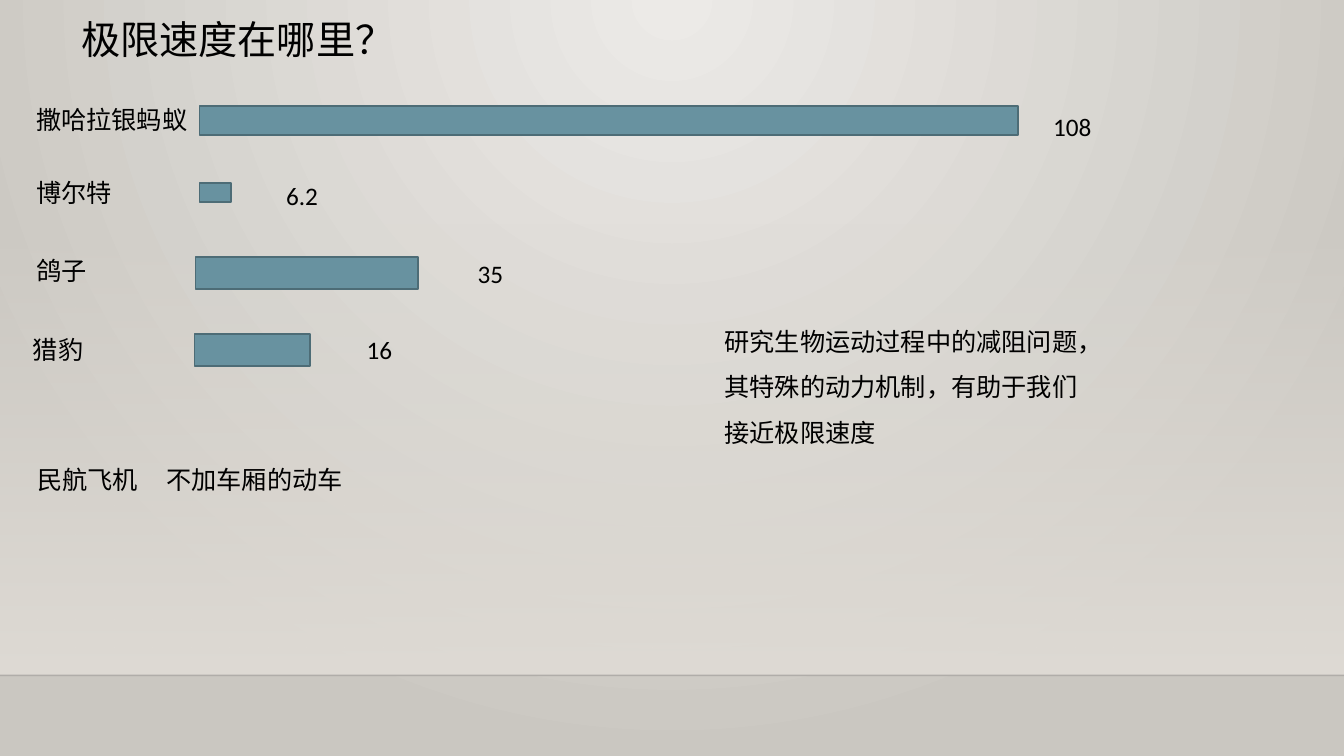
from dataclasses import dataclass

from pptx import Presentation
from pptx import oxml
from pptx import util as u
from pptx.dml.color import RGBColor
from pptx.enum import shapes, text
from pptx.oxml import ns

Cm = u.Cm


@dataclass(frozen=True)
class Theme:
    font: str = "Calibri"
    ink: str = "000000"
    bar: str = "6892A0"
    bar_edge: str = "4D6C76"
    wall: str = "DFDBD5"
    glow: str = "ECEAE7"
    shade: str = "CAC7C1"
    floor_line: str = "000001"
    title: int = 28
    body: int = 18


T = Theme()
WIDTH, HEIGHT = 33.87, 19.05
FLOOR = 17.02
WALL_TOP = 5.61
LINE_HEIGHT = 1.02

# name, label (left, top), bar (left, top, width, height), value, value (left, top)
SPEEDS = [
    ("撒哈拉银蚂蚁", (0.66, 2.51), (5.03, 2.67, 20.62, 0.74), "108", (26.29, 2.67)),
    ("博尔特", (0.66, 4.34), (5.03, 4.62, 0.79, 0.48), "6.2", (6.96, 4.42)),
    ("鸽子", (0.66, 6.32), (4.93, 6.48, 5.61, 0.81), "35", (11.79, 6.38)),
    ("猎豹", (0.58, 8.31), (4.9, 8.41, 2.92, 0.81), "16", (8.99, 8.31)),
]


def gradient(start, end, direction, start_alpha=100):
    return oxml.parse_xml(
        f'<a:gradFill {ns.nsdecls("a")} rotWithShape="1"><a:gsLst>'
        f'<a:gs pos="0"><a:srgbClr val="{start}"><a:alpha val="{start_alpha * 1000}"/></a:srgbClr></a:gs>'
        f'<a:gs pos="100000"><a:srgbClr val="{end}"/></a:gs>'
        f'</a:gsLst>{direction}</a:gradFill>')


def replace_fill(fill_parent, fill):
    """Swap the solid fill of an element for another fill."""
    fill_parent.replace(fill_parent.find(ns.qn("a:solidFill")), fill)


def add_background(s):
    fill = s.background.fill
    fill.solid()
    fill.fore_color.rgb = RGBColor.from_string(T.shade)
    circle = ('<a:path path="circle">'
              '<a:fillToRect l="43000" t="0" r="43000" b="100000"/></a:path>')
    replace_fill(s.background._cSld.bg.bgPr, gradient(T.glow, T.shade, circle))


def add_rect(s, left, top, width, height, fill, edge=None):
    sp = s.shapes.add_shape(shapes.MSO_SHAPE.RECTANGLE,
                            Cm(left), Cm(top), Cm(width), Cm(height))
    sp.shadow.inherit = False
    sp.fill.solid()
    sp.fill.fore_color.rgb = RGBColor.from_string(fill)
    if edge:
        sp.line.color.rgb = RGBColor.from_string(edge)
        sp.line.width = u.Pt(1.25)
    else:
        sp.line.fill.background()
    return sp


def add_wall(s):
    wall = add_rect(s, 0, WALL_TOP, WIDTH, FLOOR - WALL_TOP, T.wall)
    down = '<a:lin ang="5400000" scaled="0"/>'
    replace_fill(wall._element.spPr, gradient(T.wall, T.wall, down, start_alpha=0))


def add_floor_line(s):
    line = s.shapes.add_connector(shapes.MSO_CONNECTOR.STRAIGHT,
                                  0, Cm(FLOOR), Cm(WIDTH), Cm(FLOOR))
    line.line.color.rgb = RGBColor.from_string(T.floor_line)
    line.line.width = u.Pt(1)
    spPr = line._element.spPr
    color = spPr.find(".//" + ns.qn("a:srgbClr"))
    oxml.parse_xml  # noqa
    color.append(oxml.parse_xml(f'<a:alpha {ns.nsdecls("a")} val="20000"/>'))
    spPr.append(oxml.parse_xml(f'<a:effectLst {ns.nsdecls("a")}/>'))


def add_text(s, words, left, top, width, height=LINE_HEIGHT, *,
             size=T.body, spacing=None, tab=None):
    tf = s.shapes.add_textbox(Cm(left), Cm(top), Cm(width), Cm(height)).text_frame
    tf.word_wrap = True
    tf.auto_size = text.MSO_AUTO_SIZE.SHAPE_TO_FIT_TEXT
    p = tf.paragraphs[0]
    if spacing:
        p.line_spacing = spacing
    if tab:
        p._p.get_or_add_pPr().append(oxml.parse_xml(
            f'<a:tabLst {ns.nsdecls("a")}><a:tab pos="{Cm(tab)}" algn="l"/></a:tabLst>'))
    r = p.add_run()
    r.text = words
    r.font.name = T.font
    r.font.size = u.Pt(size)
    r.font.color.rgb = RGBColor.from_string(T.ink)


def add_speed(s, name, label_at, bar, value, value_at):
    add_text(s, name, *label_at, 4.37)
    add_rect(s, *bar, T.bar, T.bar_edge)
    add_text(s, value, *value_at, 2.2)


def main():
    prs = Presentation()
    prs.slide_width, prs.slide_height = Cm(WIDTH), Cm(HEIGHT)
    s = prs.slides.add_slide(prs.slide_layouts[6])
    add_background(s)
    add_wall(s)
    add_floor_line(s)
    add_text(s, "极限速度在哪里？", 1.8, 0.25, 9.42, 1.45, size=T.title)
    for speed in SPEEDS:
        add_speed(s, *speed)
    add_text(s, "民航飞机\t不加车厢的动车", 0.69, 11.58, 8.94, tab=3.25)
    add_text(s, "研究生物运动过程中的减阻问题，其特殊的动力机制，有助于我们接近极限速度",
             18.01, 7.72, 9.91, 3.61, spacing=1.5)
    prs.save("out.pptx")


if __name__ == "__main__":
    main()
